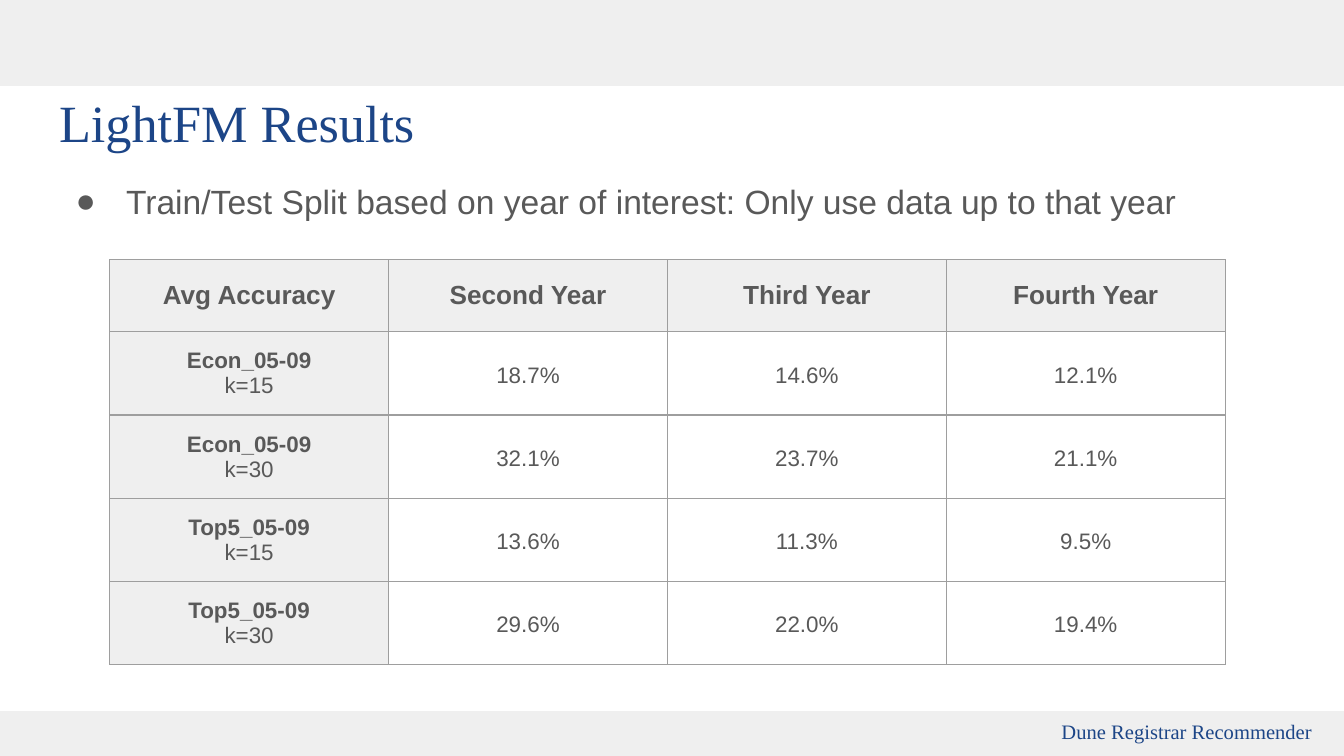
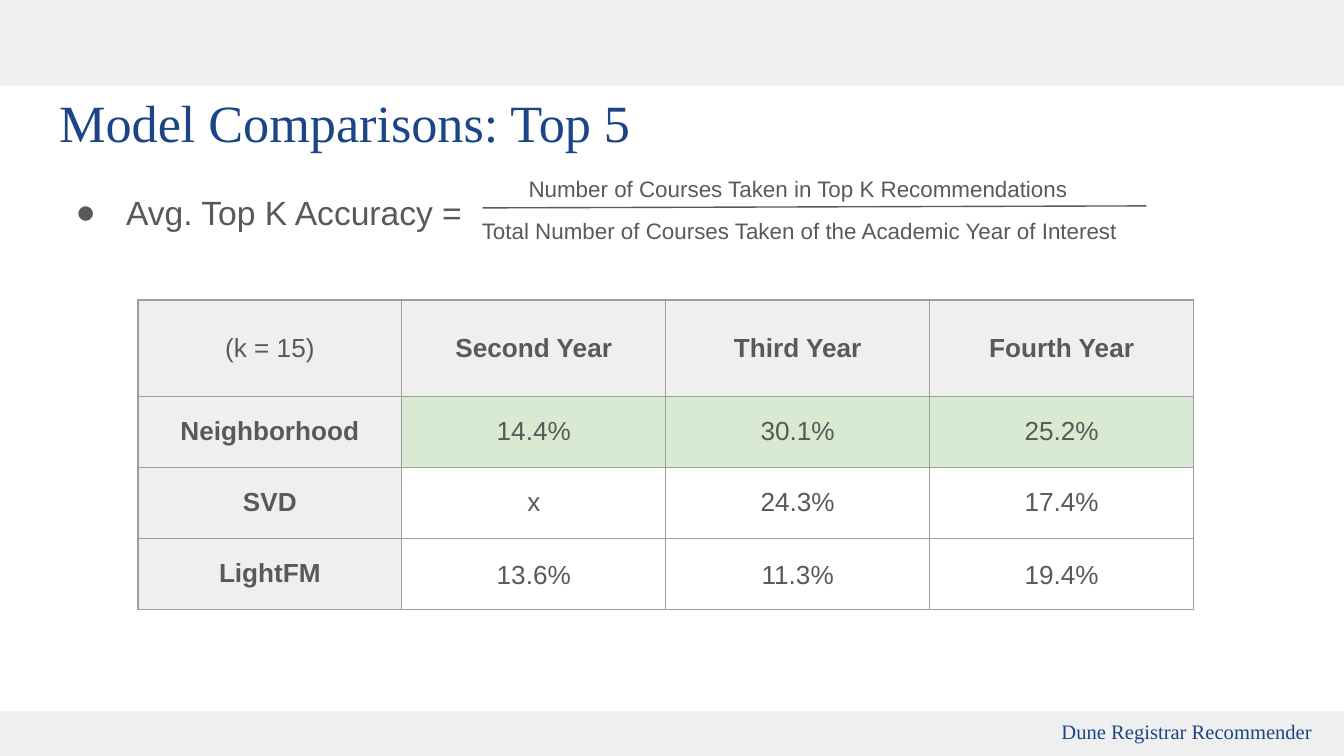
from lxml.etree import SubElement
from pptx import Presentation
from pptx.dml.color import RGBColor
from pptx.enum.shapes import MSO_CONNECTOR, MSO_SHAPE
from pptx.enum.text import MSO_ANCHOR, MSO_AUTO_SIZE, PP_ALIGN
from pptx.oxml.ns import qn
from pptx.util import Pt

WIDTH, HEIGHT = 720, 405
BLUE, GRAY, BAND, BORDER, GREEN = "1C4587", "595959", "EFEFEF", "9E9E9E", "D9EAD3"
SERIF, SANS = "Times New Roman", "Arial"
FOOTER = "Dune Registrar Recommender"
YEARS = ["Second Year", "Third Year", "Fourth Year"]

RESULTS = {
    "title": "LightFM Results",
    "bullet": "Train/Test Split based on year of interest: Only use data up to that year",
    "bullet_top": 86.4,
    "table": {
        "at": (58.8, 139.2), "col": 149.4, "heights": (38.6, 44.6), "size": 12,
        "corner": "Avg Accuracy", "corner_bold": True,
        "rows": [
            ("Econ_05-09\nk=15", ["18.7%", "14.6%", "12.1%"]),
            ("Econ_05-09\nk=30", ["32.1%", "23.7%", "21.1%"]),
            ("Top5_05-09\nk=15", ["13.6%", "11.3%", "9.5%"]),
            ("Top5_05-09\nk=30", ["29.6%", "22.0%", "19.4%"]),
        ],
        "spaced": {1, 2, 3, 4}, "highlighted": set(),
    },
}
COMPARISON = {
    "title": "Model Comparisons: Top 5",
    "bullet": "Avg. Top K Accuracy =",
    "bullet_top": 92.2,
    "table": {
        "at": (73.9, 160.7), "col": 141.4, "heights": (51.7, 38), "size": 14,
        "corner": "(k = 15)", "corner_bold": False,
        "rows": [
            ("Neighborhood", ["14.4%", "30.1%", "25.2%"]),
            ("SVD", ["x", "24.3%", "17.4%"]),
            ("LightFM", ["13.6%", "11.3%", "19.4%"]),
        ],
        "spaced": {3}, "highlighted": {1},
    },
}
FRACTION = [
    ("Total Number of Courses Taken of the Academic Year of Interest",
     (247, 111.6, 362.9, 23.8), MSO_ANCHOR.MIDDLE),
    ("Number of Courses Taken in Top K Recommendations",
     (265.7, 86.4, 324, 23.8), MSO_ANCHOR.TOP),
]
FRACTION_BAR = (258.5, 111.4, 614.2, 110.3)


def rgb(color):
    return RGBColor.from_string(color)


def points(values):
    return [Pt(v) for v in values]


def style(p, size, color=GRAY, font=SANS, bold=False, align=PP_ALIGN.CENTER):
    p.alignment = align
    for r in p.runs:
        r.font.name, r.font.size, r.font.bold = font, Pt(size), bold
        r.font.color.rgb = rgb(color)


def set_frame(tf, anchor):
    tf.word_wrap, tf.auto_size, tf.vertical_anchor = True, MSO_AUTO_SIZE.NONE, anchor
    tf.margin_left = tf.margin_right = tf.margin_top = tf.margin_bottom = Pt(7.2)


def add_text(slide, text, box, anchor, size, **look):
    tf = slide.shapes.add_textbox(*points(box)).text_frame
    set_frame(tf, anchor)
    tf.text = text
    style(tf.paragraphs[0], size, **look)
    return tf.paragraphs[0]


def add_band(slide, top, height):
    sp = slide.shapes.add_shape(MSO_SHAPE.RECTANGLE, *points((0, top, WIDTH, height)))
    sp.shadow.inherit = False
    sp.fill.solid()
    sp.fill.fore_color.rgb = rgb(BAND)
    sp.line.fill.background()


def add_bullet(slide, text, top):
    p = add_text(slide, text, (24.5, top, 666, 68.4), MSO_ANCHOR.TOP, 18,
                 align=PP_ALIGN.LEFT)
    p.line_spacing = 1.15
    pPr = p._p.get_or_add_pPr()
    pPr.set("marL", str(Pt(36)))
    pPr.set("indent", str(-Pt(27)))
    SubElement(SubElement(pPr, qn("a:buClr")), qn("a:srgbClr"), val=GRAY)
    SubElement(pPr, qn("a:buFont"), typeface=SANS)
    SubElement(pPr, qn("a:buChar"), char="●")


def set_borders(cell):
    tcPr = cell._tc.get_or_add_tcPr()
    for side in ("lnL", "lnR", "lnT", "lnB"):
        ln = SubElement(tcPr, qn("a:" + side), w=str(Pt(0.75)))
        SubElement(SubElement(ln, qn("a:solidFill")), qn("a:srgbClr"), val=BORDER)


def fill_cell(cell, text, size, bold, fill, spaced):
    """Write a cell; only its first line may be bold."""
    set_borders(cell)
    if fill:
        cell.fill.solid()
        cell.fill.fore_color.rgb = rgb(fill)
    else:
        cell.fill.background()
    cell.vertical_anchor = MSO_ANCHOR.MIDDLE
    margin = Pt(4.5 if spaced else 7.2)
    cell.margin_left = cell.margin_right = cell.margin_top = cell.margin_bottom = margin
    cell.text_frame.text = text
    for i, p in enumerate(cell.text_frame.paragraphs):
        style(p, size, bold=bold and i == 0)
        if spaced:
            p.line_spacing, p.space_before = 1.15, Pt(9)


def add_accuracy_table(slide, spec_data):
    t = spec_data
    rows = [(t["corner"], YEARS)] + t["rows"]
    head, body = t["heights"]
    heights = [head] + [body] * len(t["rows"])
    n_cols = len(YEARS) + 1
    box = (*t["at"], t["col"] * n_cols, sum(heights))
    table = slide.shapes.add_table(len(rows), n_cols, *points(box)).table
    table.first_row = table.horz_banding = False
    for col in table.columns:
        col.width = Pt(t["col"])
    for i, (label, values) in enumerate(rows):
        table.rows[i].height = Pt(heights[i])
        for j, text in enumerate([label] + values):
            is_header = i == 0 or j == 0
            bold = t["corner_bold"] if i == j == 0 else is_header
            fill = BAND if is_header else GREEN if i in t["highlighted"] else None
            fill_cell(table.cell(i, j), text, 14 if i == 0 else t["size"], bold, fill,
                      not is_header and i in t["spaced"])


def add_fraction(slide):
    for text, box, anchor in FRACTION:
        add_text(slide, text, box, anchor, 12)
    bar = slide.shapes.add_connector(MSO_CONNECTOR.STRAIGHT, *points(FRACTION_BAR))
    bar.line.color.rgb = rgb(GRAY)
    bar.line.width = Pt(0.75)
    SubElement(bar._element.spPr, qn("a:effectLst"))


def add_slide(prs, content):
    slide = prs.slides.add_slide(prs.slide_layouts[5])
    title = slide.shapes.title
    title.left, title.top, title.width, title.height = points((24.5, 41, 671, 45.4))
    set_frame(title.text_frame, MSO_ANCHOR.TOP)
    title.text_frame.text = content["title"]
    style(title.text_frame.paragraphs[0], 28, BLUE, SERIF, align=PP_ALIGN.LEFT)
    add_bullet(slide, content["bullet"], content["bullet_top"])
    add_band(slide, 0, 46)
    add_band(slide, 381, HEIGHT - 381)
    add_text(slide, FOOTER, (550.8, 381.9, 170, 19.4), MSO_ANCHOR.MIDDLE, 11,
             color=BLUE, font=SERIF)
    add_accuracy_table(slide, content["table"])
    return slide


def main():
    prs = Presentation()
    prs.slide_width, prs.slide_height = Pt(WIDTH), Pt(HEIGHT)
    add_slide(prs, RESULTS)
    add_fraction(add_slide(prs, COMPARISON))
    prs.save("out.pptx")


if __name__ == "__main__":
    main()
